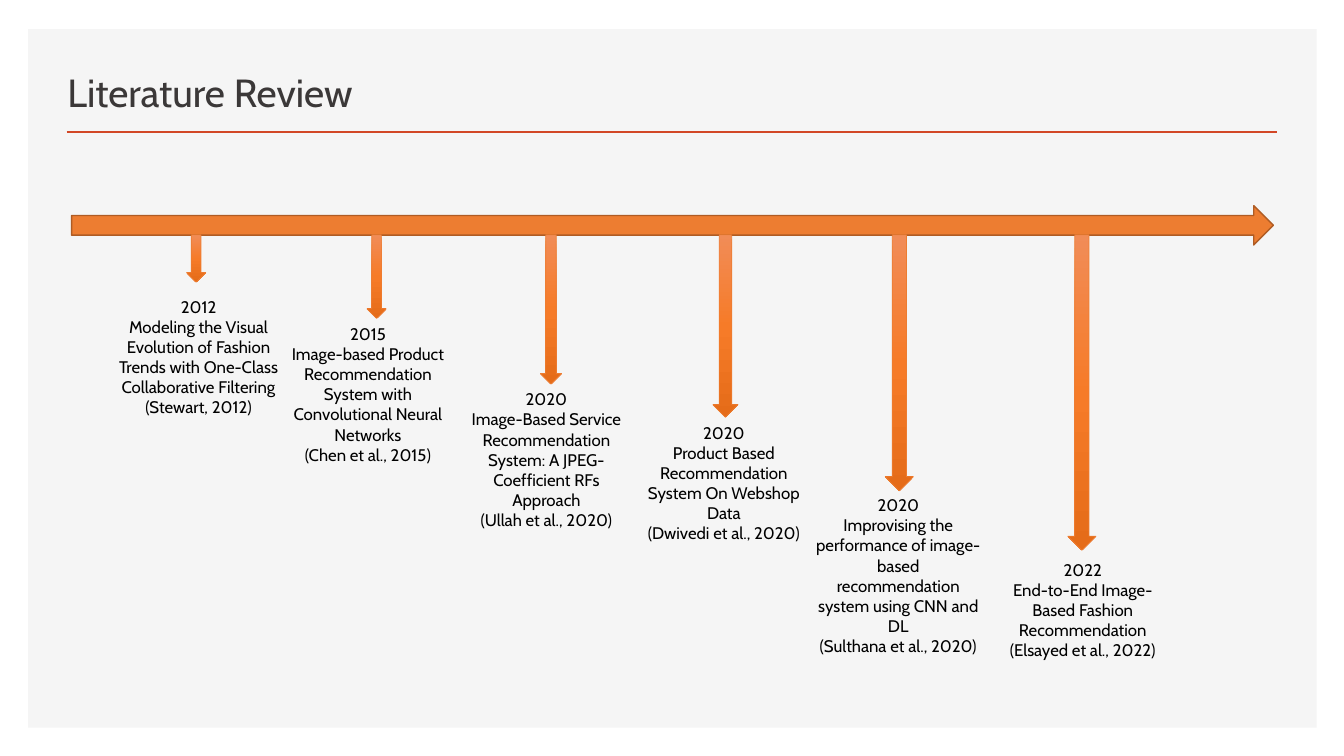
from copy import deepcopy
from pptx import Presentation
from pptx.dml.color import RGBColor
from pptx.enum.shapes import MSO_CONNECTOR, MSO_SHAPE
from pptx.enum.text import MSO_ANCHOR, MSO_AUTO_SIZE, PP_ALIGN
from pptx.oxml.ns import qn
from pptx.util import Pt
from lxml import etree

PX = 9144
ORANGE = "ED7D31"
SHADES = [(0, "F18C57"), (0.5, "F67B28"), (1, "E56C19")]
TOP = 233

# arrow left, arrow width, arrow height, label left, label top, label height, year, title, source
STEPS = [
    (185, 19, 47, 104, 289, 131, "2012",
     "Modeling the Visual Evolution of Fashion Trends with One-Class Collaborative Filtering",
     "(Stewart, 2012)"),
    (364, 19, 83, 272, 316, 151, "2015",
     "Image-based Product Recommendation System with Convolutional Neural Networks",
     "(Chen et al., 2015)"),
    (536, 21, 148, 449, 381, 151, "2020",
     "Image-Based Service Recommendation System: A JPEG-Coefficient RFs Approach",
     "(Ullah et al., 2020)"),
    (707, 25, 181, 625, 414, 131, "2020",
     "Product Based Recommendation System On Webshop Data",
     "(Dwivedi et al., 2020)"),
    (878, 28, 254, 798, 486, 172, "2020",
     "Improvising the performance of image-based recommendation system using CNN and DL",
     "(Sulthana et al., 2020)"),
    (1059, 28, 313, 981, 550, 111, "2022",
     "End-to-End Image-Based Fashion Recommendation",
     "(Elsayed et al., 2022)"),
]


def tint(code):
    """Turn a hex string into a colour."""
    return RGBColor.from_string(code)


class Deck:
    """Hold the style and the current slide."""

    def __init__(self, wide, high, font):
        self.file = Presentation()
        self.file.slide_width, self.file.slide_height = wide * PX, high * PX
        self.font = font
        self.slide = self.file.slides.add_slide(self.file.slide_layouts[6])
        self.slide.background.fill.solid()
        self.slide.background.fill.fore_color.rgb = tint("FFFFFF")

    def shape(self, kind, box, fill=None, line=None, width=1):
        """Draw a preset shape; a list as fill makes a gradient."""
        item = self.slide.shapes.add_shape(kind, *(n * PX for n in box))
        item.shadow.inherit = False
        if isinstance(fill, list):
            self.blend(item, fill)
        else:
            item.fill.solid()
            item.fill.fore_color.rgb = tint(fill)
        if line:
            item.line.color.rgb = tint(line)
            item.line.width = Pt(width)
        else:
            item.line.fill.background()
        return item

    def blend(self, item, shades):
        """Fill a shape from top to bottom with the given stops."""
        item.fill.gradient()
        item.fill.gradient_angle = 270
        stops = item._element.spPr.find(".//" + qn("a:gsLst"))
        for _ in shades[len(stops):]:
            stops.append(deepcopy(stops[0]))
        for stop, (place, code) in zip(item.fill.gradient_stops, shades):
            stop.position = place
            stop.color.rgb = tint(code)

    def line(self, start, end, color, width):
        """Draw a straight line."""
        item = self.slide.shapes.add_connector(
            MSO_CONNECTOR.STRAIGHT, *(n * PX for n in start + end))
        item.line.color.rgb = tint(color)
        item.line.width = Pt(width)
        etree.SubElement(item._element.spPr, qn("a:effectLst"))

    def text(self, box, lines, size=12, color="000000", align=PP_ALIGN.CENTER,
             anchor=MSO_ANCHOR.TOP, fit=MSO_AUTO_SIZE.SHAPE_TO_FIT_TEXT):
        """Write one paragraph for each line."""
        frame = self.slide.shapes.add_textbox(*(n * PX for n in box)).text_frame
        frame.word_wrap = True
        frame.auto_size = fit
        frame.vertical_anchor = anchor
        frame.text = "\n".join(lines)
        for para in frame.paragraphs:
            para.alignment = align
            for run in para.runs:
                run.font.name = self.font
                run.font.size = Pt(size)
                run.font.color.rgb = tint(color)


def main():
    """Build the timeline slide."""
    deck = Deck(1333, 750, "Cabin")
    deck.shape(MSO_SHAPE.RECTANGLE, (28, 29, 1278, 693), "F5F5F5")
    deck.line((66, 131), (1267, 131), "D24726", 2)
    deck.text((57, 49, 752, 70), ["Literature Review"], size=28, color="3B3838",
              align=PP_ALIGN.LEFT, anchor=MSO_ANCHOR.BOTTOM, fit=MSO_AUTO_SIZE.NONE)
    deck.shape(MSO_SHAPE.RIGHT_ARROW, (71, 204, 1192, 39), ORANGE, "AF5C24")
    for left, wide, high, x, y, tall, *lines in STEPS:
        deck.shape(MSO_SHAPE.DOWN_ARROW, (left, TOP, wide, high), SHADES, ORANGE, 0.5)
        deck.text((x, y, 186, tall), lines)
    deck.file.save("out.pptx")


if __name__ == "__main__":
    main()
